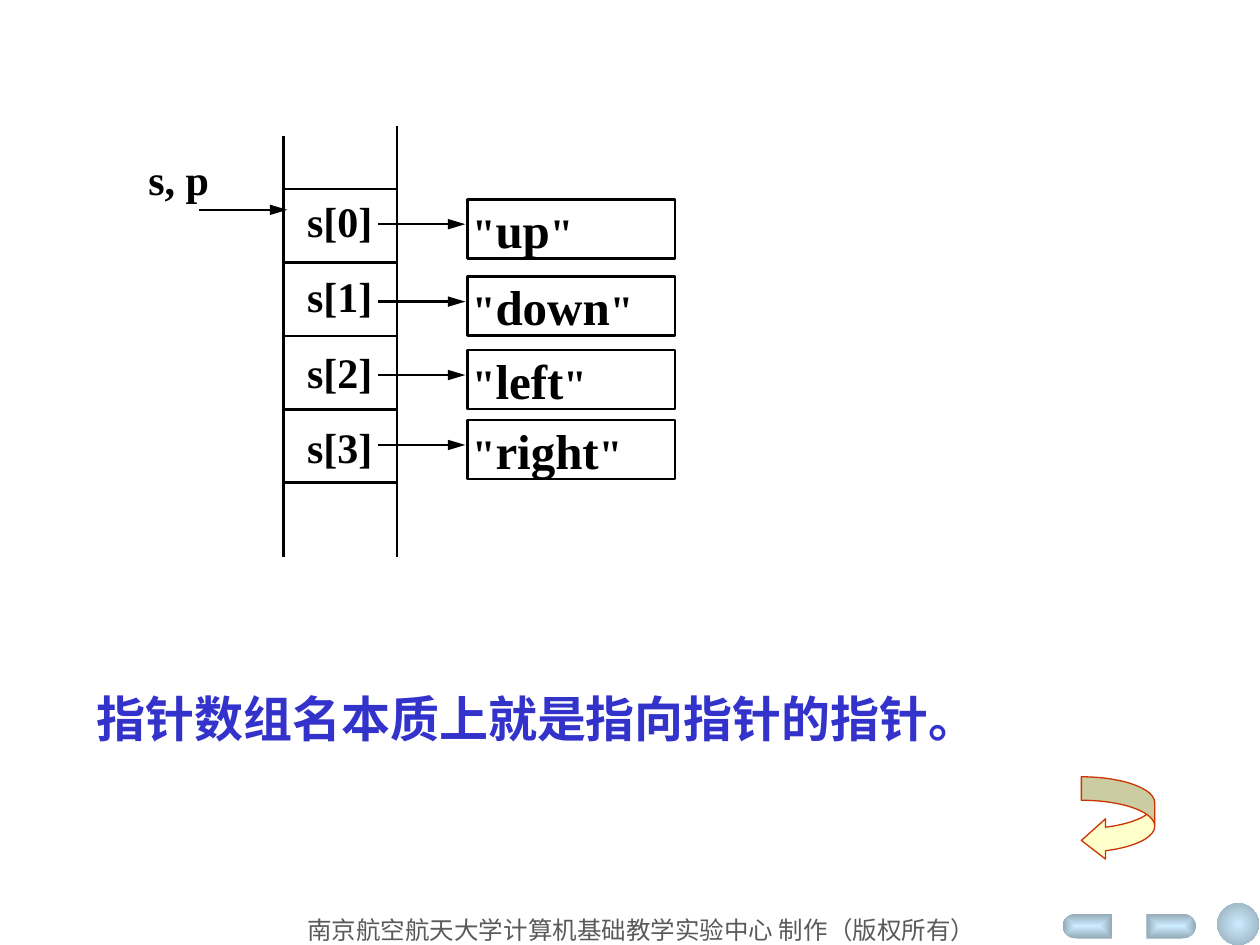
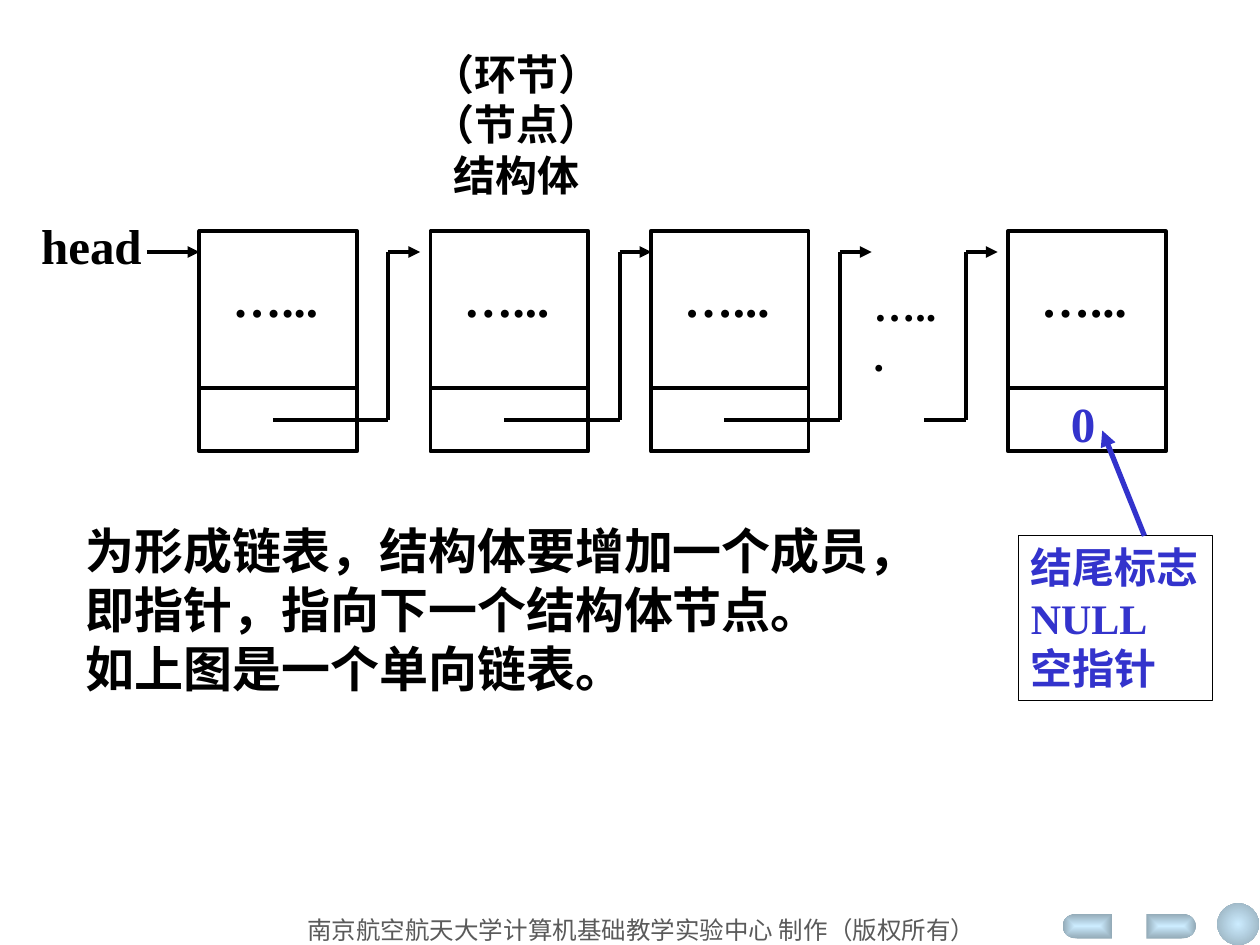
from math import cos, pi, sin

from lxml import etree
from pptx import Presentation
from pptx.dml.color import RGBColor
from pptx.enum.shapes import MSO_CONNECTOR, MSO_SHAPE
from pptx.enum.text import MSO_ANCHOR, MSO_AUTO_SIZE, PP_ALIGN
from pptx.oxml.ns import qn
from pptx.util import Cm, Pt

STRAIGHT = MSO_CONNECTOR.STRAIGHT
RECT, OVAL = MSO_SHAPE.RECTANGLE, MSO_SHAPE.OVAL
CURVED = MSO_SHAPE.CURVED_LEFT_ARROW
TOP, FIT = MSO_ANCHOR.TOP, MSO_AUTO_SIZE.SHAPE_TO_FIT_TEXT
LEFT, CENTER, JUSTIFY = PP_ALIGN.LEFT, PP_ALIGN.CENTER, PP_ALIGN.JUSTIFY

FONT = "Times New Roman"
BLACK = RGBColor(0, 0, 0)
BLUE = RGBColor(0x33, 0x33, 0xCC)
GRAY = RGBColor(0x5A, 0x5A, 0x5A)
LIGHT = RGBColor(0xCC, 0xEC, 0xFF)
STEEL = RGBColor(0x92, 0xA9, 0xB6)
CREAM = RGBColor(0xFF, 0xFF, 0xCC)
RED = RGBColor(0xCC, 0x33, 0x00)

# Content; all lengths are in centimetres
FOOTER = "南京航空航天大学计算机基础教学实验中心 制作（版权所有）"
CLAIM = "指针数组名本质上就是指向指针的指针。"
WORDS = [("up", 4.02), ("down", 5.58), ("left", 7.06), ("right", 8.47)]
ROW_TOP, ROW_STEP = 3.81, 1.48

TITLE = ["（环节）", "（节点）", "结构体"]
NOTE = ["为形成链表，结构体要增加一个成员，",
        "即指针，指向下一个结构体节点。",
        "如上图是一个单向链表。"]
END = ["结尾标志", "NULL", "空指针"]
DOTS = "…..."
NODES = [4.02, 8.68, 13.12, 20.32]
NODE_TOP, NODE_W, NODE_H = 4.66, 3.18, 4.44
HEAD_Y, LINK_Y = 5.08, 8.47


def style(run, size, color, bold=True):
    font = run.font
    font.name, font.size, font.bold = FONT, Pt(size), bold
    font.color.rgb = color


def fill_text(shape, lines, size, color=BLACK, bold=True, align=LEFT,
              wrap=False, fit=True):
    frame = shape.text_frame
    frame.text = "\n".join(lines)
    frame.word_wrap = wrap
    frame.vertical_anchor = TOP
    if fit:
        frame.auto_size = FIT
    for para in frame.paragraphs:
        para.alignment = align
        for run in para.runs:
            style(run, size, color, bold)
    return frame


def text(slide, box, lines, size, color=BLACK, **kind):
    shape = slide.shapes.add_textbox(*map(Cm, box))
    return fill_text(shape, lines, size, color, **kind)


def line(slide, start, end, width, color=BLACK, arrow=None):
    """Draw a line; arrow gives the length of its head."""
    link = slide.shapes.add_connector(STRAIGHT, *map(Cm, start + end))
    link.line.width = Pt(width)
    link.line.color.rgb = color
    if arrow:
        etree.SubElement(link.line._get_or_add_ln(), qn("a:tailEnd"),
                         type="triangle", w="med", len=arrow)
    etree.SubElement(link._element.spPr, qn("a:effectLst"))


def frame_box(slide, box, width):
    shape = slide.shapes.add_shape(RECT, *map(Cm, box))
    shape.shadow.inherit = False
    shape.fill.background()
    shape.line.color.rgb = BLACK
    shape.line.width = Pt(width)
    return shape


# Shared footer and buttons
def glow(shape, kind):
    """Shade a button from a light centre to a darker rim."""
    shape.shadow.inherit = False
    shape.line.fill.background()
    shape.fill.gradient()
    for stop, color in zip(shape.fill.gradient_stops, (LIGHT, STEEL)):
        stop.color.rgb = color
    grad = shape._element.spPr.find(qn("a:gradFill"))
    grad.remove(grad.find(qn("a:lin")))
    rim = etree.SubElement(grad, qn("a:path"), path=kind)
    etree.SubElement(rim, qn("a:fillToRect"),
                     l="50000", t="50000", r="50000", b="50000")


def button(slide, flat, side):
    """Draw a bar with a flat end at x = flat, rounded towards side."""
    mid, high, wide, long = 18.67, 0.25, 0.29, 0.71
    turns = [pi * (i / 12 - 0.5) for i in range(13)]
    points = [(Cm(flat + side * (long + wide * cos(t))),
               Cm(mid + high * sin(t))) for t in turns]
    points.append((Cm(flat), Cm(mid + high)))
    path = slide.shapes.build_freeform(Cm(flat), Cm(mid - high))
    path.add_line_segments(points)
    glow(path.convert_to_shape(), "rect")


def new_slide(deck):
    slide = deck.slides.add_slide(deck.slide_layouts[6])
    ball = slide.shapes.add_shape(OVAL, *map(Cm, (24.54, 18.21, 0.84, 0.84)))
    glow(ball, "circle")
    button(slide, 22.42, -1)
    button(slide, 23.11, 1)
    text(slide, (3.7, 18.33, 18.47, 0.85), [FOOTER], 14, GRAY,
         bold=False, align=CENTER, wrap=True)
    return slide


def array_slide(deck):
    slide = new_slide(deck)
    text(slide, (1.7, 13.76, 18.36, 1.44), [CLAIM], 28, BLUE)

    # Memory column
    line(slide, (5.72, 2.75), (5.72, 11.22), 1.5)
    line(slide, (8, 2.54), (8, 11.22), 1.5)
    for i in range(len(WORDS) + 1):
        y = ROW_TOP + i * ROW_STEP
        line(slide, (5.7, y), (8.03, y), 1.5)
    text(slide, (2.74, 2.97, 1.9, 1.83), ["s, p"], 24,
         align=JUSTIFY, wrap=True, fit=False)
    line(slide, (4.02, 4.23), (5.79, 4.23), 1.5, arrow="lg")
    cells = [f"s[{i}]" for i in range(len(WORDS))]
    frame = text(slide, (5.94, 3.3, 2.11, 6.65), cells, 24,
                 align=JUSTIFY, wrap=True, fit=False)
    for para in frame.paragraphs:
        para.line_spacing = 1.5

    # Strings pointed to
    for word, top in WORDS:
        line(slide, (7.62, top + 0.5), (9.38, top + 0.5), 1.5, arrow="lg")
        shape = frame_box(slide, (9.42, top, 4.19, 1.19), 1.5)
        frame = fill_text(shape, [""], 24, align=JUSTIFY, wrap=True, fit=False)
        frame.margin_left = Cm(0.1)
        frame.margin_top = frame.margin_right = frame.margin_bottom = 0
        for part, size in (('"', 24), (word, 28), ('"', 24)):
            run = frame.paragraphs[0].add_run()
            run.text = part
            style(run, size, BLACK)

    # Return arrow
    back = slide.shapes.add_shape(CURVED, *map(Cm, (21.8, 15.66, 1.48, 1.69)))
    back.shadow.inherit = False
    for i, value in enumerate((0.32, 0.55, 0.33)):
        back.adjustments[i] = value
    back.fill.solid()
    back.fill.fore_color.rgb = CREAM
    back.line.color.rgb = RED
    back.line.width = Pt(0.75)


def chain_slide(deck):
    slide = new_slide(deck)
    frame = text(slide, (8.47, 0.85, 3.94, 3.3), TITLE, 24)
    frame.paragraphs[2]._p.get_or_add_pPr().set("marL", str(Pt(12)))

    # Nodes
    for x in NODES:
        frame_box(slide, (x, NODE_TOP, NODE_W, NODE_H), 2.25)
        line(slide, (x, 7.83), (x + NODE_W, 7.83), 2.25)
        text(slide, (x + 0.42, 5.29, 2.24, 1.44), [DOTS], 28)
    text(slide, (17.36, 5.5, 1.98, 1.27), [DOTS], 24)

    # Links
    links = [(x + 1.48, x + 3.81) for x in NODES[:-1]] + [(18.63, 19.47)]
    for start, bend in links:
        line(slide, (start, LINK_Y), (bend, LINK_Y), 2.25)
        line(slide, (bend, LINK_Y), (bend, HEAD_Y), 2.25)
        line(slide, (bend, HEAD_Y), (bend + 0.64, HEAD_Y), 2.25, arrow="med")
    line(slide, (2.96, HEAD_Y), (NODES[0], HEAD_Y), 2.25, arrow="med")
    text(slide, (0.58, 4.22, 2.54, 1.44), ["head"], 28)

    # Explanation and end mark
    text(slide, (21.34, 7.8, 1.02, 1.44), ["0"], 28, BLUE)
    text(slide, (1.48, 10.37, 17.37, 3.81), NOTE, 28)
    mark = frame_box(slide, (20.53, 10.8, 3.91, 3.33), 0.75)
    fill_text(mark, END, 24, BLUE)
    line(slide, (23.07, 10.8), (22.22, 8.68), 3, BLUE, arrow="med")


def main():
    deck = Presentation()
    deck.slide_width, deck.slide_height = Cm(25.4), Cm(19.05)
    array_slide(deck)
    chain_slide(deck)
    deck.save("out.pptx")


if __name__ == "__main__":
    main()
